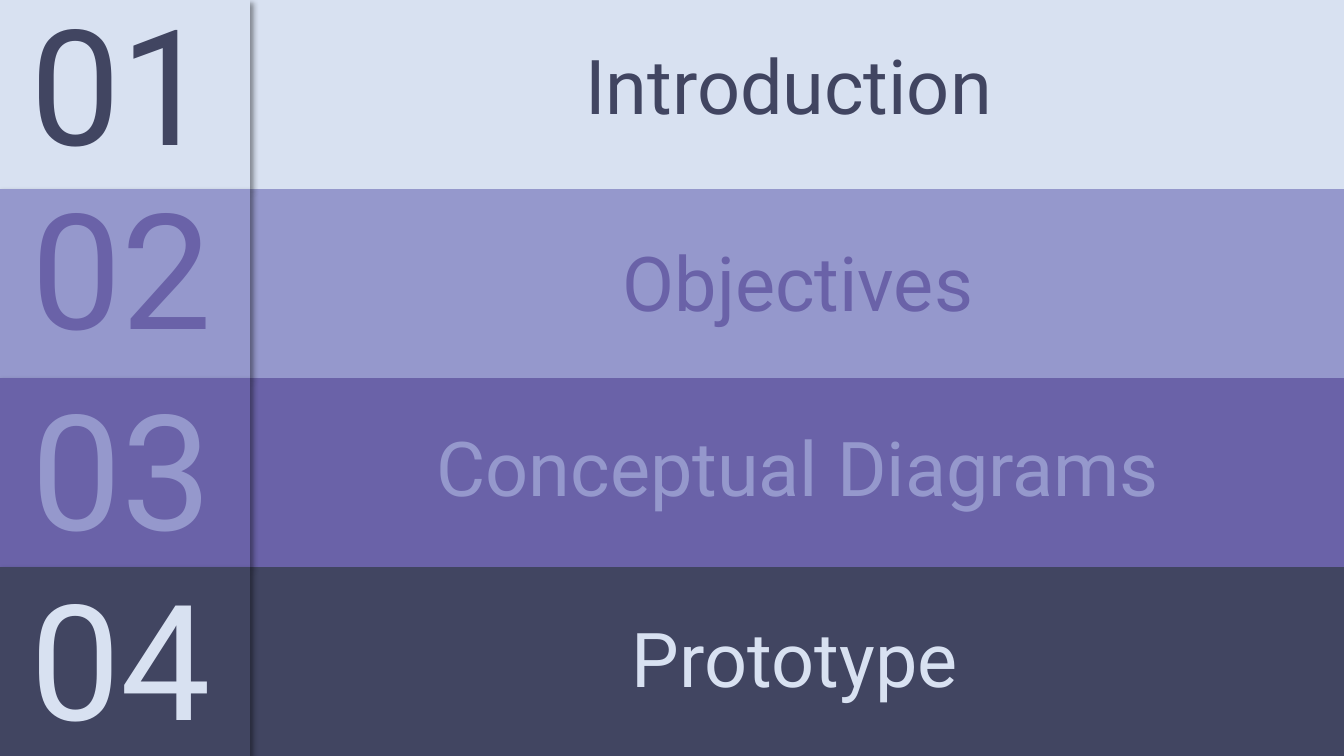
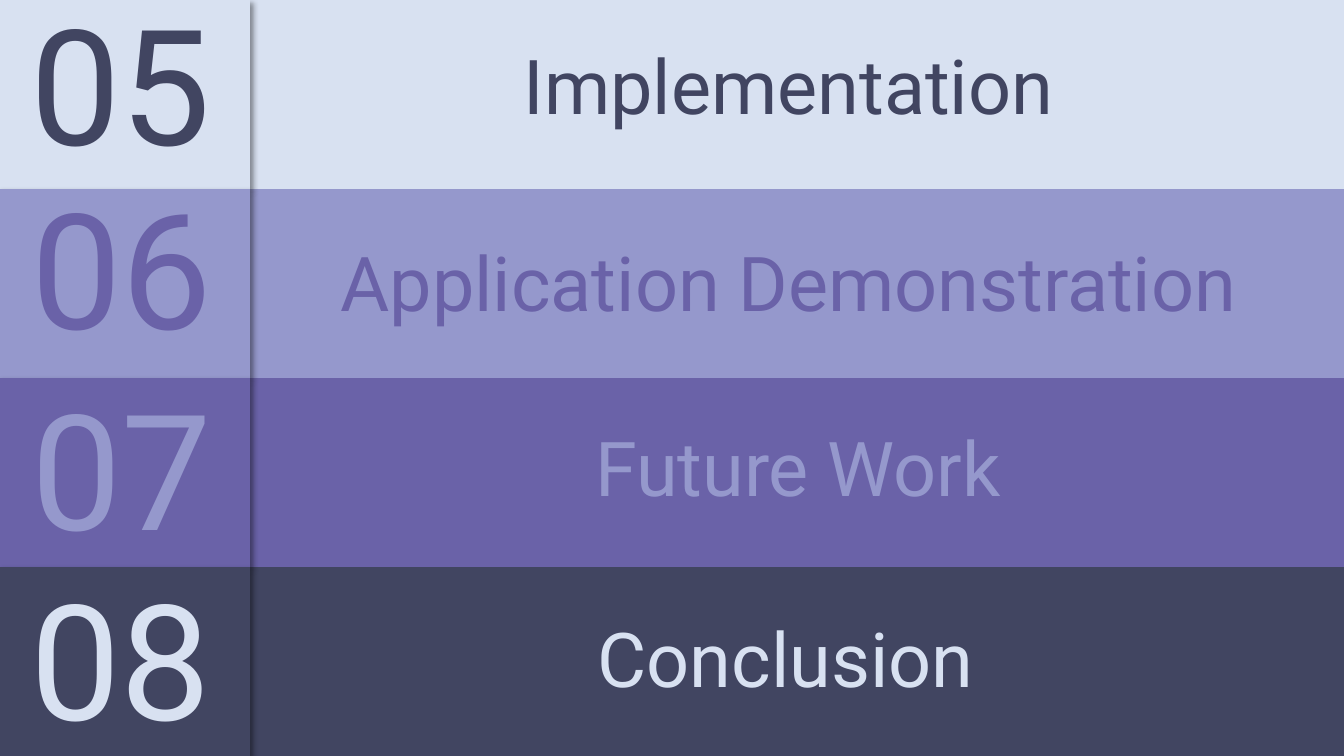
from dataclasses import dataclass

from lxml import etree
from pptx import Presentation
from pptx import util as u
from pptx.dml.color import RGBColor
from pptx.enum import shapes, text
from pptx.oxml import ns

SCALE = 9525  # EMU per px
PAGE_W, PAGE_H = 1280, 720


@dataclass(frozen=True)
class Theme:
    pale: str = "D8E1F1"
    lilac: str = "9598CC"
    violet: str = "6A62A8"
    navy: str = "414561"
    font: str = "Roboto"
    title_size: int = 54
    number_size: int = 115


THEME = Theme()

# Each band: fill, ink, title offset (x, y) and number offset (x, y)
BANDS = [
    (THEME.pale, THEME.navy, (37, 32), (-3, -19)),
    (THEME.lilac, THEME.violet, (37, 40), (-2, -24)),
    (THEME.violet, THEME.lilac, (37, 36), (-2, -13)),
    (THEME.navy, THEME.pale, (34, 38), (-3, -12)),
]
BAND_H = PAGE_H // len(BANDS)
TILE_X, TILE_W = -2, 240
PANEL_X = TILE_X + TILE_W
TITLE_W, TITLE_H = 970, 97
NUMBER_H = 196

AGENDA = [
    ["Introduction ", "Objectives", "Conceptual Diagrams", "Prototype"],
    ["Implementation ", "Application Demonstration ", "Future Work", "Conclusion "],
]


def px(*lengths):
    return [u.Emu(length * SCALE) for length in lengths]


def add_band(parent, box, fill):
    """Plain filled rectangle."""
    band = parent.add_shape(shapes.MSO_SHAPE.RECTANGLE, *px(*box))
    band.fill.solid()
    band.fill.fore_color.rgb = RGBColor.from_string(fill)
    band.line.fill.background()
    band.shadow.inherit = False
    return band


def add_shadow(band):
    """Soft shadow falling to the lower right."""
    effects = band._element.spPr.find(ns.qn("a:effectLst"))
    shadow = etree.SubElement(
        effects, ns.qn("a:outerShdw"), blurRad=str(u.Pt(4)), dist=str(u.Pt(3)),
        dir=str(45 * 60000), algn="tl", rotWithShape="0")
    color = etree.SubElement(shadow, ns.qn("a:srgbClr"), val="000000")
    etree.SubElement(color, ns.qn("a:alpha"), val="40000")


def add_label(parent, box, words, size, ink):
    """Centred line of text."""
    frame = parent.add_textbox(*px(*box)).text_frame
    frame.word_wrap = True
    frame.auto_size = text.MSO_AUTO_SIZE.SHAPE_TO_FIT_TEXT
    para = frame.paragraphs[0]
    para.alignment = text.PP_ALIGN.CENTER
    span = para.add_run()
    span.text = words
    for name, value in {"name": THEME.font, "size": u.Pt(size)}.items():
        setattr(span.font, name, value)
    span.font.color.rgb = RGBColor.from_string(ink)


def add_title_panel(page, box, title, fill, ink, offset):
    """Wide panel grouped with its section title."""
    left, top, _, _ = box
    group = page.shapes.add_group_shape().shapes
    add_band(group, box, fill)
    add_label(group, (left + offset[0], top + offset[1], TITLE_W, TITLE_H),
              title, THEME.title_size, ink)


def add_number(page, box, number, ink, offset):
    """Large section number over its tile."""
    left, top, width, _ = box
    add_label(page.shapes, (left + offset[0], top + offset[1], width, NUMBER_H),
              f"{number:02d}", THEME.number_size, ink)


def add_agenda_page(deck, titles, first_number):
    page = deck.slides.add_slide(deck.slide_layouts[6])
    page.background.fill.solid()
    page.background.fill.fore_color.rgb = RGBColor.from_string(THEME.navy)

    # Title panels
    for row, (title, (fill, ink, offset, _)) in enumerate(zip(titles, BANDS)):
        box = (PANEL_X, row * BAND_H, PAGE_W - PANEL_X, BAND_H)
        add_title_panel(page, box, title, fill, ink, offset)

    # Number tiles, then the numbers above all tiles
    tiles = [(TILE_X, row * BAND_H, TILE_W, BAND_H) for row in range(len(BANDS))]
    for box, (fill, *_) in zip(tiles, BANDS):
        add_shadow(add_band(page.shapes, box, fill))
    for row, (box, (_, ink, _, offset)) in enumerate(zip(tiles, BANDS)):
        add_number(page, box, first_number + row, ink, offset)


def main():
    deck = Presentation()
    deck.slide_width, deck.slide_height = px(PAGE_W, PAGE_H)
    for index, titles in enumerate(AGENDA):
        add_agenda_page(deck, titles, index * len(BANDS) + 1)
    deck.save("out.pptx")


if __name__ == "__main__":
    main()
